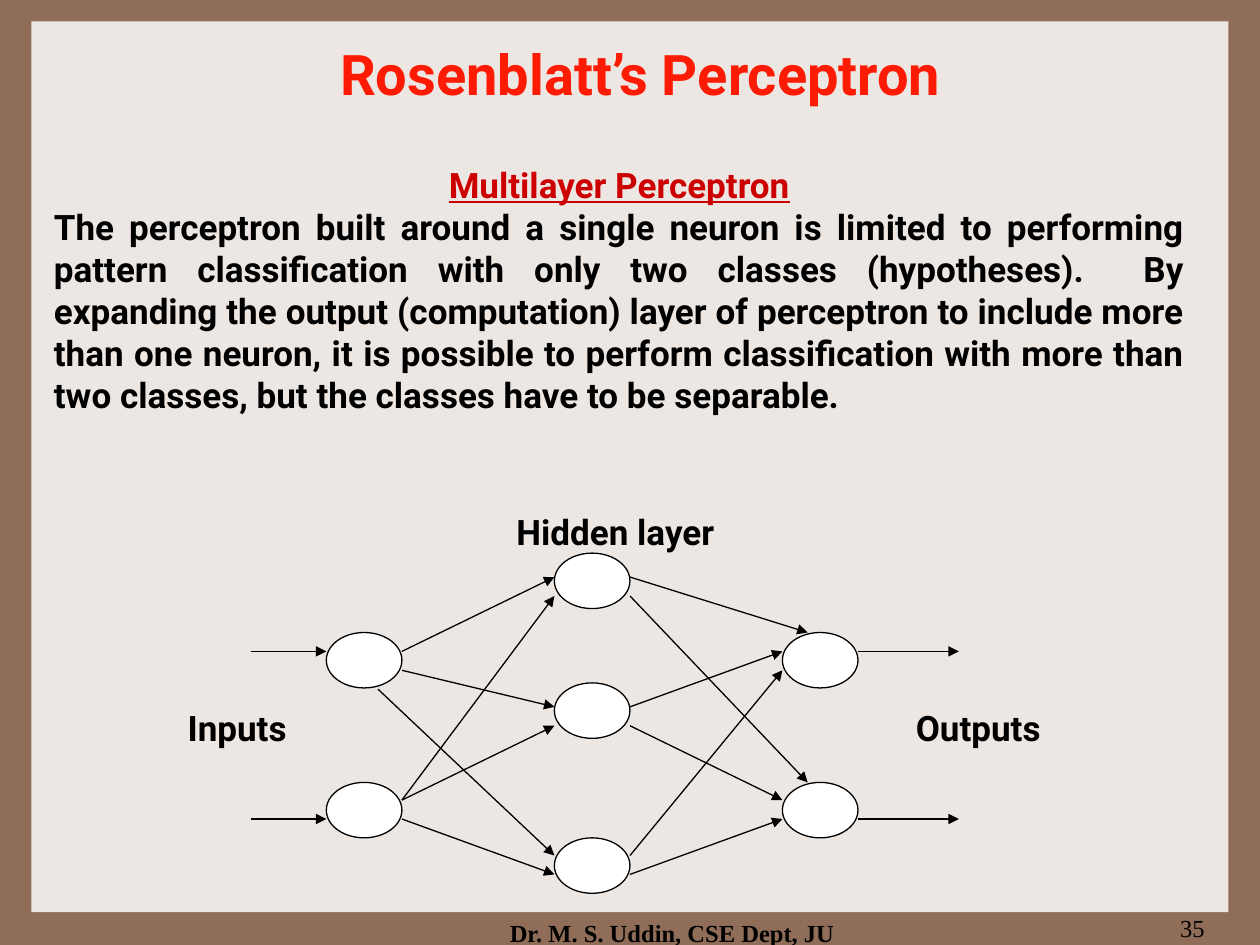
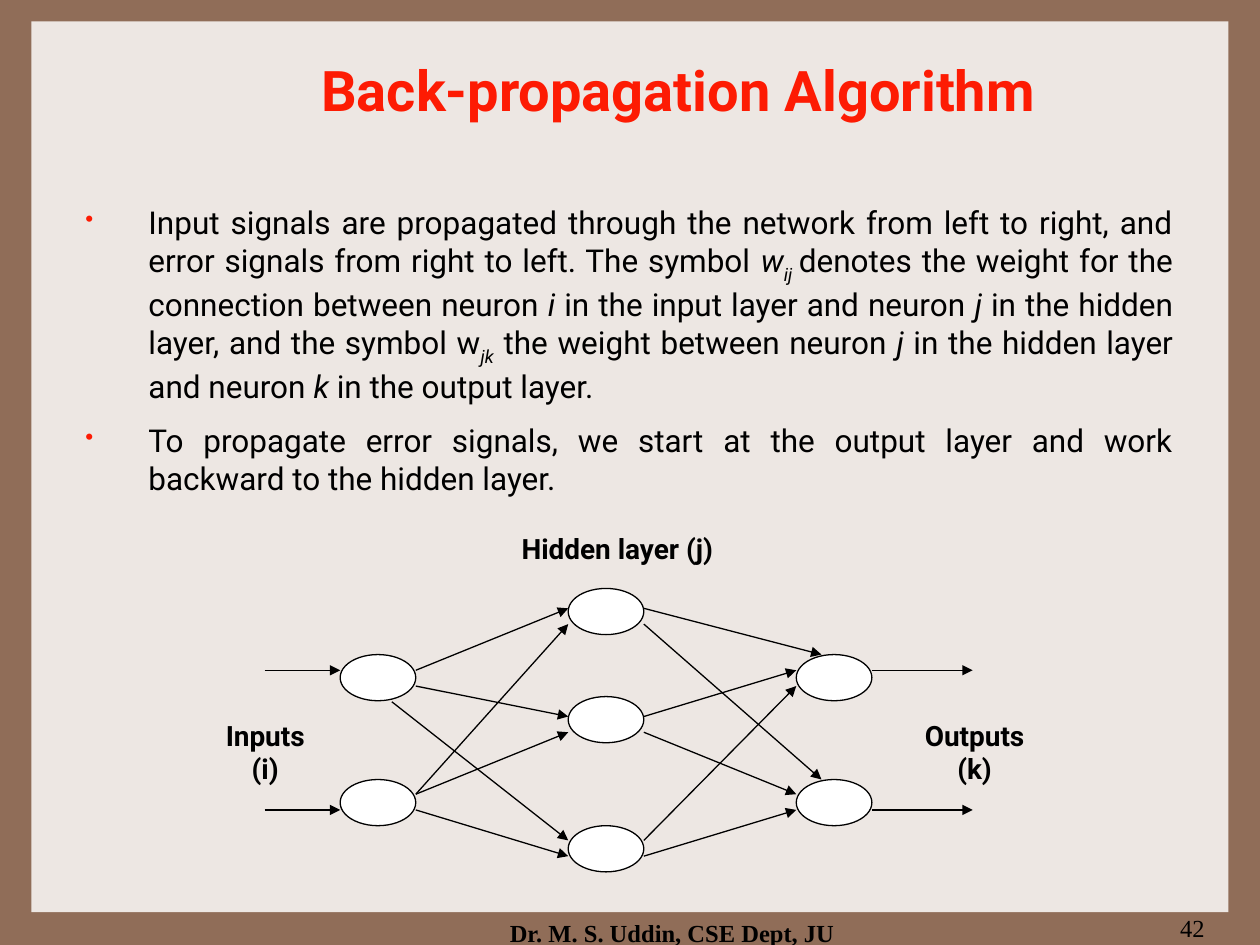
from lxml import etree
from pptx import Presentation
from pptx.dml.color import RGBColor
from pptx.enum import shapes as sh, text as tx
from pptx.oxml import ns
from pptx.util import Inches, Pt

BROWN = RGBColor(0x90, 0x6D, 0x58)
CREAM = RGBColor(0xED, 0xE7, 0xE3)
RED = RGBColor(0xFD, 0x1B, 0x03)
CRIMSON = RGBColor(0xCC, 0x00, 0x00)
BLACK = RGBColor(0, 0, 0)
WHITE = RGBColor(0xFF, 0xFF, 0xFF)
SANS, SERIF = "Roboto", "Times New Roman"
LEFT, MID, RIGHT, FULL = (tx.PP_ALIGN.LEFT, tx.PP_ALIGN.CENTER,
                          tx.PP_ALIGN.RIGHT, tx.PP_ALIGN.JUSTIFY)

# Network layout, measured from its own corner at full size
SIZE = (5.62, 2.7)
NODE = (0.6, 0.44)
IN_X, HID_X, OUT_X = 0.6, 2.41, 4.22
HID_Y = (0, 1.03, 2.26)
END_Y = (0.63, 1.82)
# Upper and lower port heights of each node
HID = ((0.19, 0.34), (1.22, 1.37), (2.4, 2.55))
END = ((0.78, 0.93), (1.96, 2.11))

PERC = ("The perceptron built around a single neuron is limited to performing "
        "pattern classification with only two classes (hypotheses).  By "
        "expanding the output (computation) layer of perceptron to include "
        "more than one neuron, it is possible to perform classification with "
        "more than two classes, but the classes have to be separable.")
# Runs are pairs of text and style: i italic, s italic subscript
SIGNALS = [
    ("Input signals are propagated through the network from left to right, "
     "and error signals from right to left. The symbol ", ""),
    ("w", "i"), ("ij ", "s"),
    ("denotes the weight for the connection between neuron ", ""),
    ("i", "i"), (" in the input layer and neuron ", ""), ("j", "i"),
    (" in the hidden layer, and the symbol w", ""), ("jk", "s"),
    (" the weight between neuron ", ""), ("j ", "i"),
    ("in the hidden layer and neuron ", ""), ("k", "i"),
    (" in the output layer.", "")]
ERRORS = [("To propagate error signals, we start at the output layer and "
           "work backward to the hidden layer.", "")]


def style(para, size, color=BLACK, bold=False, align=LEFT, face=SANS):
    para.alignment = align
    font = para.font
    font.name, font.size, font.bold = face, Pt(size), bold
    font.color.rgb = color


def frame(slide, box):
    area = slide.shapes.add_textbox(*map(Inches, box)).text_frame
    area.word_wrap = True
    return area


def label(slide, box, words, size, **look):
    area = frame(slide, box)
    area.text = words
    for para in area.paragraphs:
        style(para, size, **look)


def panel(slide, layout):
    """Put the cream sheet on the layout, behind every title."""
    sheet = slide.shapes.add_shape(sh.MSO_SHAPE.RECTANGLE,
                                   *map(Inches, (0.25, 0.17, 9.5, 7.07)))
    sheet.shadow.inherit = False
    sheet.fill.solid()
    sheet.fill.fore_color.rgb = CREAM
    sheet.line.fill.background()
    layout.shapes._spTree.insert(2, sheet._element)


def start(deck, title, box, number):
    """Add a slide with its title and footer."""
    slide = deck.slides.add_slide(deck.slide_layouts[5])
    head = slide.shapes.title
    head.left, head.top, head.width, head.height = map(Inches, box)
    area = head.text_frame
    area.text = title
    area.word_wrap = True
    area.vertical_anchor = tx.MSO_ANCHOR.MIDDLE
    style(area.paragraphs[0], 32, RED, True, MID)
    label(slide, (3.75, 7.24, 3.17, 0.26), "Dr. M. S. Uddin, CSE Dept, JU",
          14, bold=True, align=MID, face=SERIF)
    label(slide, (7.58, 7.2, 2.08, 0.5), number, 14, align=RIGHT, face=SERIF)
    return slide


def bullet(para):
    props = para._p.get_or_add_pPr()
    props.set("marL", str(Inches(0.5)))
    props.set("indent", str(-Inches(0.5)))
    color = etree.SubElement(props, ns.qn("a:buClr"))
    etree.SubElement(color, ns.qn("a:srgbClr"), val=str(RED))
    etree.SubElement(props, ns.qn("a:buSzPct"), val="75000")
    etree.SubElement(props, ns.qn("a:buChar"), char="•")


def points(slide, box, items):
    """Write a bulleted list of styled runs."""
    area = frame(slide, box)
    for n, item in enumerate(items):
        para = area.add_paragraph() if n else area.paragraphs[0]
        bullet(para)
        style(para, 18, align=FULL)
        if n:
            para.space_before = Pt(9)
        for words, kind in item:
            run = para.add_run()
            run.text = words
            if kind:
                run.font.italic = True
            if kind == "s":
                run._r.get_or_add_rPr().set("baseline", "-30000")


def network(slide, box):
    """Draw two inputs, three hidden nodes and two outputs in the box."""
    left, top, width, height = box
    group = slide.shapes.add_group_shape().shapes
    kx, ky = width / SIZE[0], height / SIZE[1]

    def place(x, y):
        return Inches(left + x * kx), Inches(top + y * ky)

    def node(x, y):
        oval = group.add_shape(sh.MSO_SHAPE.OVAL, *place(x, y),
                               Inches(NODE[0] * kx), Inches(NODE[1] * ky))
        oval.shadow.inherit = False
        oval.fill.solid()
        oval.fill.fore_color.rgb = WHITE
        oval.line.color.rgb = BLACK
        oval.line.width = Pt(0.75)

    def arrow(tail, tip):
        wire = group.add_connector(sh.MSO_CONNECTOR.STRAIGHT,
                                   *place(*tail), *place(*tip))
        wire.line.color.rgb = BLACK
        wire.line.width = Pt(0.75)
        etree.SubElement(wire.line._get_or_add_ln(), ns.qn("a:tailEnd"),
                         type="triangle")
        etree.SubElement(wire._element.spPr, ns.qn("a:effectLst"))

    for x, rows in ((IN_X, END_Y), (HID_X, HID_Y), (OUT_X, END_Y)):
        for y in rows:
            node(x, y)

    # Arrows into and out of the network
    in_end, hid_end, out_end = (x + NODE[0] for x in (IN_X, HID_X, OUT_X))
    for y in (END[0][0], END[1][1]):
        arrow((0, y), (IN_X, y))
        arrow((out_end, y), (SIZE[0], y))

    # Input to hidden layer
    first = (((in_end, END[0][0]), (in_end, END[0][1]), (1.01, 1.08)),
             ((in_end, END[1][0]), (in_end, END[1][0]), (in_end, END[1][1])))
    for side, tails in enumerate(first):
        for tail, ports in zip(tails, HID):
            arrow(tail, (HID_X, ports[side]))

    # Hidden to output layer
    second = (((4.42, END_Y[0]), (4.42, END_Y[1])),
              ((OUT_X, END[0][0]), (OUT_X, END[1][0])),
              ((OUT_X, END[0][1]), (OUT_X, END[1][1])))
    for ports, tips in zip(HID, second):
        for y, tip in zip(ports, tips):
            arrow((hid_end, y), tip)


def multi(slide):
    """Fill the multilayer perceptron slide."""
    area = frame(slide, (0.33, 1.25, 9.17, 2.43))
    area.text = "Multilayer Perceptron\n" + PERC
    head, body = area.paragraphs
    style(head, 20, CRIMSON, True, MID)
    head.font.underline = True
    style(body, 20, bold=True, align=FULL)
    network(slide, (1.99, 4.39, 5.62, 2.7))
    for box, words in (((1.39, 5.56, 1.21, 0.3), "Inputs"),
                       ((7.17, 5.56, 1.33, 0.36), "Outputs"),
                       ((4, 4, 2.22, 0.25), "Hidden layer")):
        label(slide, box, words, 20, bold=True)


def back(slide):
    """Fill the back-propagation slide."""
    points(slide, (0.58, 1.56, 8.83, 2.35), (SIGNALS, ERRORS))
    network(slide, (2.1, 4.67, 5.62, 2.25))
    for box, words in (((1.5, 5.65, 1.21, 0.25), "Inputs\n(i)"),
                       ((7.13, 5.65, 1.21, 0.25), "Outputs (k)"),
                       ((3.83, 4.17, 2.14, 0.39), "Hidden layer (j)")):
        label(slide, box, words, 16, bold=True, align=MID)


def main():
    deck = Presentation()
    deck.slide_width, deck.slide_height = Inches(10), Inches(7.5)
    fill = deck.slide_master.background.fill
    fill.solid()
    fill.fore_color.rgb = BROWN

    slide = start(deck, "Rosenblatt’s Perceptron", (0.67, 0.33, 8.83, 0.5), "35")
    panel(slide, slide.slide_layout)
    multi(slide)
    back(start(deck, "Back-propagation Algorithm", (1.22, 0.29, 8.33, 0.83), "42"))
    deck.save("out.pptx")


if __name__ == "__main__":
    main()
